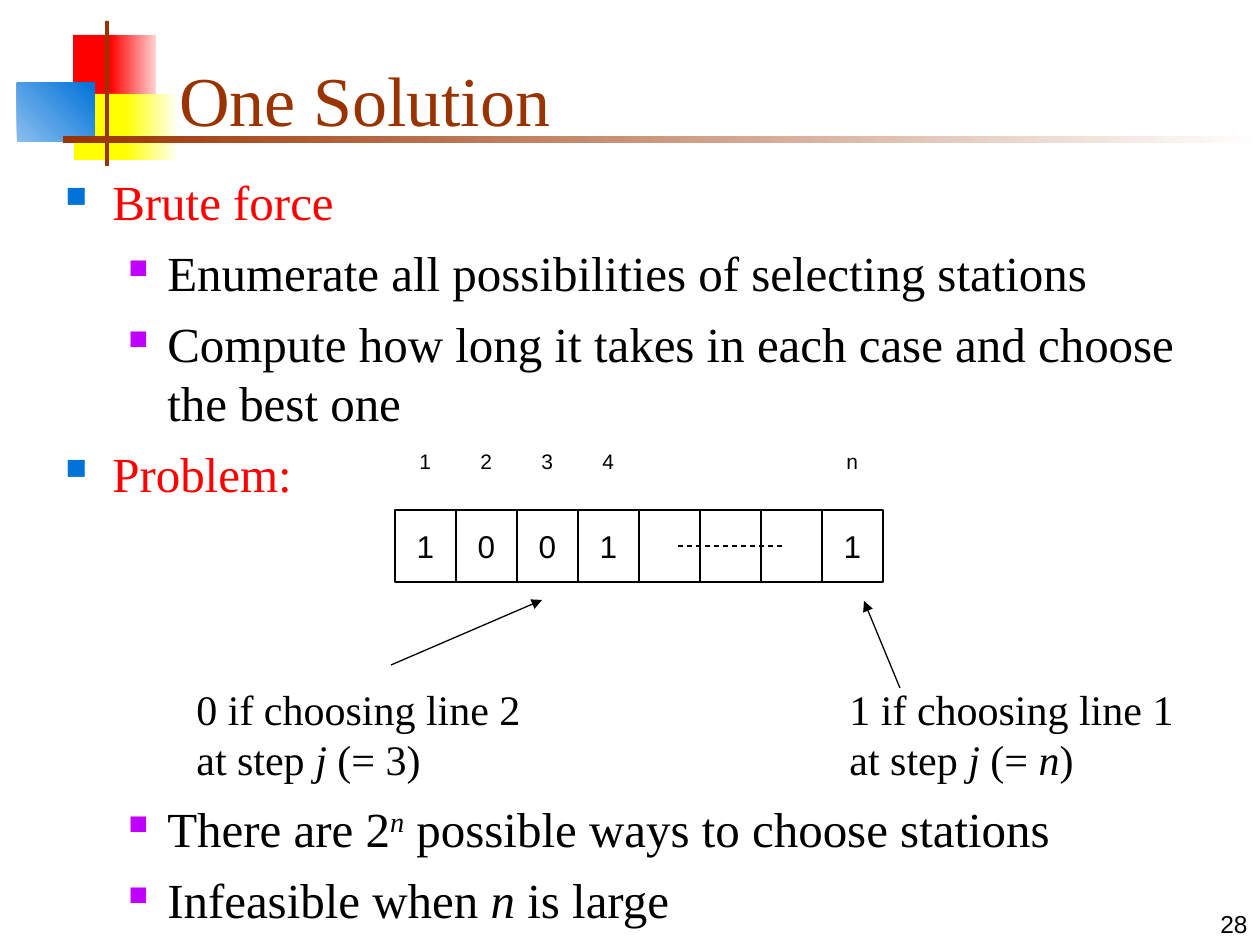
from pptx import Presentation
from pptx.dml.color import RGBColor
from pptx.enum.dml import MSO_LINE
from pptx.enum.shapes import MSO_CONNECTOR, MSO_SHAPE
from pptx.enum.text import MSO_ANCHOR, PP_ALIGN
from pptx.oxml.ns import qn
from pptx.util import Pt
from lxml.etree import SubElement

PX = 914400 / 126
BLACK = RGBColor(0x00, 0x00, 0x00)
WHITE = RGBColor(0xFF, 0xFF, 0xFF)
RED = RGBColor(0xFF, 0x00, 0x00)
PALE_RED = RGBColor(0xFF, 0xD1, 0xD1)
YELLOW = RGBColor(0xFF, 0xFF, 0x00)
PALE_YELLOW = RGBColor(0xFF, 0xFF, 0xF0)
BLUE = RGBColor(0x00, 0x73, 0xD9)
PALE_BLUE = RGBColor(0x8B, 0xBF, 0xEE)
PURPLE = RGBColor(0xBF, 0x00, 0xFF)
BROWN = RGBColor(0x99, 0x33, 0x00)
SERIF, SANS = "Times New Roman", "Arial"


def emu(*lengths):
    """Turn px lengths into EMU."""
    return [round(length * PX) for length in lengths]


def add_runs(paragraph, parts, size, font, color):
    """Write parts into a paragraph: a plain string, or a (text, baseline) pair in italics."""
    for part in parts:
        text, baseline = (part, 0) if isinstance(part, str) else part
        run = paragraph.add_run()
        run.text = text
        run.font.size, run.font.name = Pt(size), font
        run.font.color.rgb = color
        if not isinstance(part, str):
            run.font.italic = True
        if baseline:
            run.font._element.set("baseline", str(baseline * 1000))


def add_text(slide, box, lines, size, font=SERIF, color=BLACK, wrap=True,
             anchor=MSO_ANCHOR.TOP, align=PP_ALIGN.LEFT):
    """Add a text box with one paragraph for each line of parts."""
    frame = slide.shapes.add_textbox(*emu(*box)).text_frame
    frame.word_wrap, frame.vertical_anchor = wrap, anchor
    for index, parts in enumerate(lines):
        paragraph = frame.add_paragraph() if index else frame.paragraphs[0]
        paragraph.alignment = align
        add_runs(paragraph, parts, size, font, color)


def add_block(slide, box, color, end_color=None, angle=0):
    """Add a borderless rectangle, solid or fading to end_color."""
    block = slide.shapes.add_shape(MSO_SHAPE.RECTANGLE, *emu(*box))
    block.shadow.inherit = False
    block.line.fill.background()
    if end_color is None:
        block.fill.solid()
        block.fill.fore_color.rgb = color
        return
    block.fill.gradient()
    block.fill.gradient_angle = angle
    for stop, stop_color in zip(block.fill.gradient_stops, (color, end_color)):
        stop.color.rgb = stop_color


def add_line(slide, start, end, dashed=False):
    """Add a dashed line or a solid arrow."""
    line = slide.shapes.add_connector(MSO_CONNECTOR.STRAIGHT, *emu(*start, *end))
    line.line.color.rgb, line.line.width = BLACK, Pt(0.75)
    if dashed:
        line.line.dash_style = MSO_LINE.DASH
    else:
        SubElement(line.line._get_or_add_ln(), qn("a:tailEnd"), type="triangle")
    SubElement(line._element.spPr, qn("a:effectLst"))


def add_header(slide, left, top):
    """Draw the coloured blocks, the crossing bars and the title."""
    blocks = [
        ((56, 14, 44, 66), RED),
        ((93, 14, 46, 66), RED, PALE_RED),
        ((57, 73, 58, 66), YELLOW),
        ((108, 73, 51, 66), YELLOW, PALE_YELLOW),
        ((0, 62, 78, 59), PALE_BLUE, BLUE, 45),
        ((88, 0, 4, 145), BROWN),
        ((46, 115, 1197, 7), BROWN, WHITE),
    ]
    for (x, y, width, height), *colors in blocks:
        add_block(slide, (left + x, top + y, width, height), *colors)
    add_text(slide, (left + 150, top + 10, 1074, 116), [["One Solution"]], 40,
             color=BROWN, anchor=MSO_ANCHOR.BOTTOM)


def add_bullets(slide, box, items):
    """Add a two-level list of (level, parts) items."""
    frame = slide.shapes.add_textbox(*emu(*box)).text_frame
    frame.word_wrap = True
    levels = [(47, -47, BLUE, 60, RED), (102, -39, PURPLE, 55, BLACK)]
    for index, (level, parts) in enumerate(items):
        margin, indent, bullet_color, bullet_size, color = levels[level]
        paragraph = frame.add_paragraph() if index else frame.paragraphs[0]
        paragraph.level, paragraph.space_before = level, Pt(7)
        add_runs(paragraph, parts, 28, SERIF, color)
        properties = paragraph._p.get_or_add_pPr()
        for name, value in zip(("marL", "indent"), emu(margin, indent)):
            properties.set(name, str(value))
        bullet = SubElement(properties, qn("a:buClr"))
        SubElement(bullet, qn("a:srgbClr"), val=str(bullet_color))
        SubElement(properties, qn("a:buSzPct"), val=str(bullet_size * 1000))
        SubElement(properties, qn("a:buChar"), char="■")


def add_choices(slide, left, top):
    """Draw the numbered row of line choices with its two explanations."""
    side, height = 61, 72
    labels = ["1", "2", "3", "4", "", "", "", "n"]
    values = ["1", "0", "0", "1", "", "", "", "1"]
    for column, (label, value) in enumerate(zip(labels, values)):
        x = left + column * side
        cell = slide.shapes.add_shape(MSO_SHAPE.RECTANGLE, *emu(x, top, side, height))
        cell.shadow.inherit = False
        cell.fill.solid()
        cell.fill.fore_color.rgb = WHITE
        cell.line.color.rgb, cell.line.width = BLACK, Pt(1)
        if value:
            cell.text_frame.word_wrap = False
            cell.text_frame.vertical_anchor = MSO_ANCHOR.MIDDLE
            cell.text_frame.paragraphs[0].alignment = PP_ALIGN.CENTER
            add_runs(cell.text_frame.paragraphs[0], [value], 18, SANS, BLACK)
            add_text(slide, (x + 12, top - 68, 37, 38), [[label]], 12, SANS, wrap=False)
    add_line(slide, (left + 283, top + 36), (left + 391, top + 36), dashed=True)
    add_line(slide, (left - 4, top + 155), (left + 147, top + 90))
    add_line(slide, (left + 505, top + 178), (left + 469, top + 91))
    explanations = [
        (-211, "0 if choosing line 2", ["at step ", ("j", 0), " (= 3)"]),
        (442, "1 if choosing line 1", ["at step ", ("j", 0), " (= ", ("n", 0), ")"]),
    ]
    for x, choice, step in explanations:
        add_text(slide, (left + x, top + 167, 359, 113), [[choice], step], 24, wrap=False)


def main():
    """Build the slide and save it."""
    deck = Presentation()
    deck.slide_width, deck.slide_height = emu(1260, 945)
    slide = deck.slides.add_slide(deck.slide_layouts[6])
    add_header(slide, 17, 21)
    add_text(slide, (998, 882, 262, 63), [["28"]], 14, SANS,
             anchor=MSO_ANCHOR.BOTTOM, align=PP_ALIGN.RIGHT)
    add_bullets(slide, (53, 165, 1182, 350), [
        (0, ["Brute force"]),
        (1, ["Enumerate all possibilities of selecting stations"]),
        (1, ["Compute how long it takes in each case and choose the best one"]),
        (0, ["Problem:"]),
    ])
    add_bullets(slide, (53, 792, 1182, 153), [
        (1, ["There are 2", ("n", 30), " possible ways to choose stations"]),
        (1, ["Infeasible when ", ("n", 0), " is large"]),
    ])
    add_choices(slide, 395, 510)
    deck.save("out.pptx")


if __name__ == "__main__":
    main()
